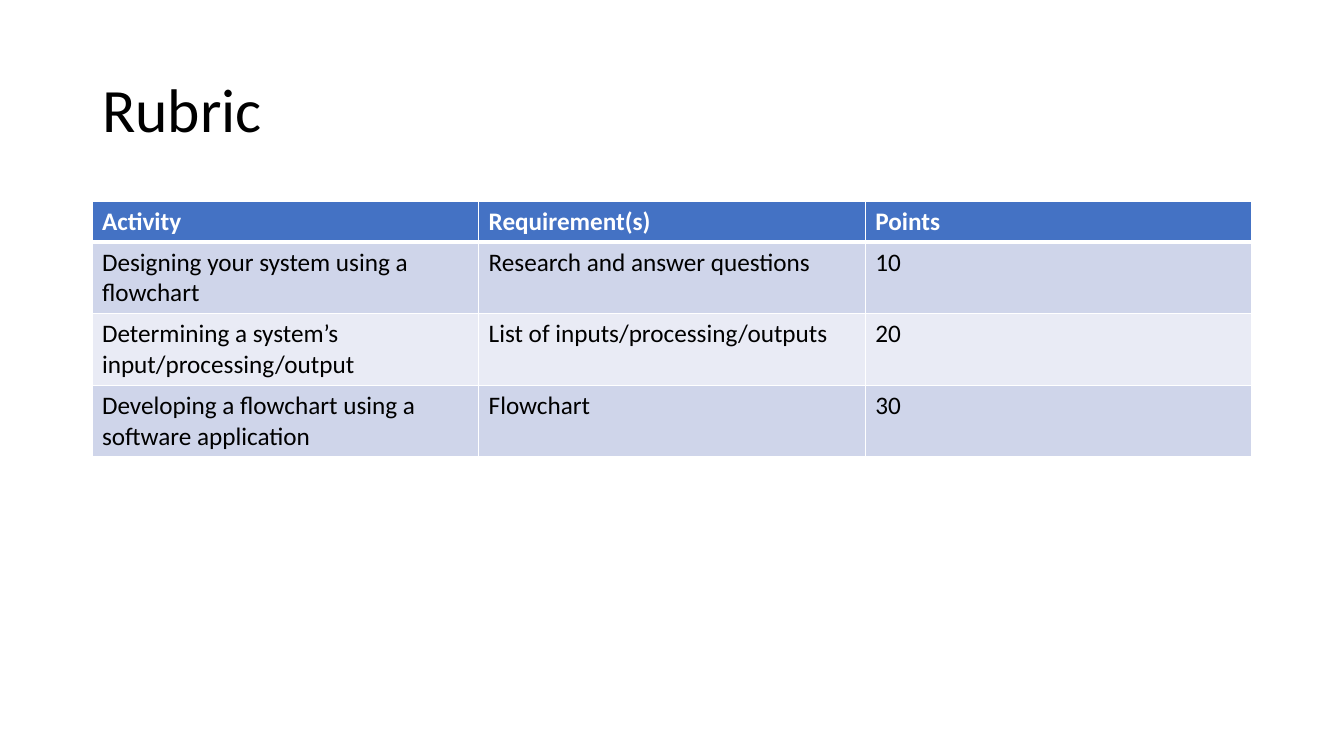
from lxml import etree
from pptx import Presentation
from pptx import util as u
from pptx.dml.color import RGBColor
from pptx.enum import text
from pptx.oxml import ns

SCALE = 914400 / 100.8
FONT = "Calibri"
COLOURS = {"ink": "000000", "white": "FFFFFF", "header": "4472C4",
           "odd": "CFD5EA", "even": "E9EBF5"}
RUBRIC = [
    ("Activity", "Requirement(s)", "Points"),
    ("Designing your system using a flowchart", "Research and answer questions", "10"),
    ("Determining a system’s input/processing/output",
     "List of inputs/processing/outputs", "20"),
    ("Developing a flowchart using a software application", "Flowchart", "30"),
]


def px(length):
    """Turn pixels into EMU."""
    return u.Emu(round(length * SCALE))


def write(frame, words, size=18, colour="ink", bold=False, spacing=1.0):
    """Put one formatted paragraph into a text frame."""
    para = frame.paragraphs[0]
    para.alignment = text.PP_ALIGN.LEFT
    para.line_spacing = spacing
    span = para.add_run()
    span.text = words
    span.font.name = FONT
    span.font.size = u.Pt(size)
    span.font.bold = bold
    span.font.color.rgb = RGBColor.from_string(COLOURS[colour])


def add_borders(cell, **widths):
    """Draw white cell borders, with widths in points by side."""
    properties = cell._tc.get_or_add_tcPr()
    for side, width in widths.items():
        line = etree.SubElement(properties, ns.qn(f"a:ln{side}"), w=str(u.Pt(width)))
        fill = etree.SubElement(line, ns.qn("a:solidFill"))
        etree.SubElement(fill, ns.qn("a:srgbClr"), val=COLOURS["white"])


def place_title(page, words, box):
    """Move and format the title placeholder."""
    title = page.shapes.title
    title.left, title.top, title.width, title.height = map(px, box)
    frame = title.text_frame
    frame.word_wrap = True
    frame.auto_size = text.MSO_AUTO_SIZE.NONE
    frame.vertical_anchor = text.MSO_ANCHOR.MIDDLE
    write(frame, words, size=44, spacing=0.9)


def place_rubric(page, rows, box):
    """Build the banded table with equal columns and a header row."""
    left, top, width, height = map(px, box)
    table = page.shapes.add_table(len(rows), len(rows[0]), left, top, width, height).table
    for row_index, row in enumerate(rows):
        header = row_index == 0
        band = "header" if header else "odd" if row_index % 2 else "even"
        for column_index, words in enumerate(row):
            cell = table.cell(row_index, column_index)
            add_borders(cell, L=1, R=1, T=3 if row_index == 1 else 1, B=3 if header else 1)
            cell.fill.solid()
            cell.fill.fore_color.rgb = RGBColor.from_string(COLOURS[band])
            write(cell.text_frame, words, colour="white" if header else "ink", bold=header)


def build_page(deck):
    """Add the rubric slide."""
    page = deck.slides.add_slide(deck.slide_layouts[5])
    place_title(page, "Rubric", (92, 40, 1160, 146))
    place_rubric(page, RUBRIC, (92, 201, 1160, 164))


deck = Presentation()
deck.slide_width, deck.slide_height = px(1344), px(756)
build_page(deck)
deck.save("out.pptx")
